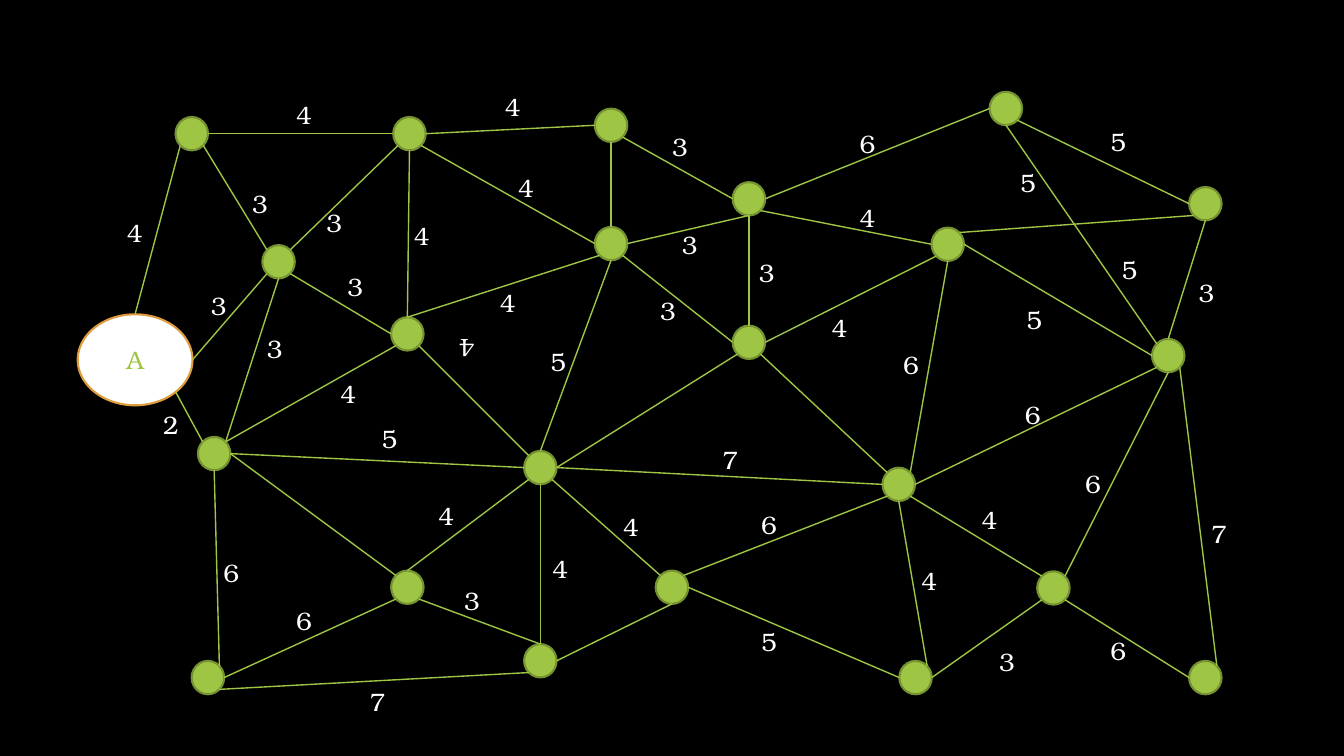
import math
from dataclasses import dataclass

from lxml import etree
from pptx import Presentation
from pptx import util as u
from pptx.dml.color import RGBColor
from pptx.enum import shapes, text
from pptx.oxml.ns import qn


@dataclass(frozen=True)
class Theme:
    background: str = "000000"
    green: str = "9EC544"
    dark_green: str = "759232"
    white: str = "FFFFFF"
    orange: str = "DE9C3C"
    font: str = "TeX Gyre Bonum"
    size: float = 18
    outline: float = 1.5
    edge: float = 1


# Connection sites of an ellipse, counterclockwise from the top
SITES = ["n", "nw", "w", "sw", "s", "se", "e", "ne"]
START_SIZE = (82, 65)
NODE_SIZE = (23.2, 23.8)
WEIGHT_SIZE = (25.2, 28.8)

START = (96.5, 257)
# Centre of each node
NODES = {
    "B": (137, 95.5), "C": (292.5, 95.5), "D": (436.5, 89.5), "E": (718.5, 77.5),
    "F": (535, 142), "G": (861, 145.5), "H": (199, 187), "I": (436.5, 174),
    "J": (677, 174.5), "K": (291, 238.5), "L": (535, 244.5), "M": (834.5, 254),
    "N": (153, 324), "O": (386, 334), "P": (642, 346), "Q": (291, 419.5),
    "R": (480, 419.5), "S": (752.5, 420), "T": (148.5, 484), "U": (386, 472),
    "V": (654, 484), "W": (861, 484),
}

# Node and site at both ends, then the weight and the left and top of its label
EDGES = [
    ("A e H sw", 3, 143.5, 204), ("H se K w", 3, 241, 190),
    ("A se N nw", 2, 109.5, 288.5), ("A n B sw", 4, 83.5, 152),
    ("B e C w", 4, 204.5, 67.5), ("C e D w", 4, 353.5, 62),
    ("C se I w", 4, 363, 119.5), ("I se L w", 3, 464.5, 207.5),
    ("D se F w", 3, 473, 90), ("F e E w", 6, 607, 88),
    ("F se J w", 4, 607, 141), ("E se G w", 5, 786, 87),
    ("E s M nw", 5, 721.5, 116), ("J e M w", 5, 726, 214),
    ("G s M n", 3, 849, 194.5), ("J ne G sw", 5, 794, 178),
    ("N s T ne", 6, 152.5, 394.5), ("T e Q sw", 6, 204.5, 429),
    ("T se U sw", 7, 257, 486.5), ("Q n O sw", 4, 306, 354),
    ("Q nw N e",), ("K se O nw", 4, 321, 235.5, 180),
    ("N e O w", 5, 265.5, 299), ("K n I sw", 4, 350, 201.5),
    ("O e L sw",), ("O se R nw", 4, 438, 362),
    ("Q se U n", 3, 324.5, 414.5), ("U e R s",),
    ("U n O s", 4, 387.5, 391.5), ("R e V w", 5, 536.5, 443.5),
    ("O e P w", 7, 509, 314), ("P nw L se",),
    ("I e F s", 3, 480, 160.5), ("L e J sw", 4, 587, 219.5),
    ("P e M sw", 6, 725, 281.5), ("P se S nw", 4, 694, 356.5),
    ("S se W w", 6, 786, 450.5), ("V ne P s", 4, 651, 400.5),
    ("R ne P sw", 6, 536.5, 360.5), ("V e S sw", 3, 706.5, 458),
    ("S ne M s", 6, 768, 331), ("W ne M se", 7, 858, 367),
    ("B se H nw", 3, 173, 131), ("C sw H ne", 3, 226, 144.5),
    ("K n C s", 4, 288.5, 153.5), ("I n D s",),
    ("O n I s", 5, 386, 244), ("N ne H s", 3, 183.5, 234.5),
    ("K sw N ne", 4, 236, 267), ("L n F s", 3, 535, 180),
    ("P ne J s", 6, 638, 246),
]


def write(frame, words, *, font, size, color, align=None, anchor=None):
    frame.word_wrap = True
    frame.vertical_anchor = anchor
    paragraph = frame.paragraphs[0]
    paragraph.alignment = align
    run = paragraph.add_run()
    run.text = words
    run.font.name = font
    run.font.size = u.Pt(size)
    run.font.color.rgb = RGBColor.from_string(color)


def site_point(node, site):
    """Return the place on the node's outline that a site stands for."""
    angle = math.radians(45 * SITES.index(site))
    x = node.left + node.width / 2 * (1 - math.sin(angle))
    y = node.top + node.height / 2 * (1 - math.cos(angle))
    return round(x), round(y)


class GraphSlide:
    def __init__(self, slide, theme):
        self.slide = slide
        self.theme = theme
        fill = slide.background.fill
        fill.solid()
        fill.fore_color.rgb = RGBColor.from_string(theme.background)

    def node(self, center, size, fill, outline):
        (x, y), (width, height) = center, size
        node = self.slide.shapes.add_shape(
            shapes.MSO_SHAPE.OVAL, u.Pt(x - width / 2), u.Pt(y - height / 2),
            u.Pt(width), u.Pt(height))
        node.shadow.inherit = False
        node.fill.solid()
        node.fill.fore_color.rgb = RGBColor.from_string(fill)
        node.line.color.rgb = RGBColor.from_string(outline)
        node.line.width = u.Pt(self.theme.outline)
        return node

    def edge(self, start, start_site, end, end_site):
        """Draw a line glued to both nodes; begin_connect knows only four sites."""
        edge = self.slide.shapes.add_connector(
            shapes.MSO_CONNECTOR.STRAIGHT,
            *site_point(start, start_site), *site_point(end, end_site))
        edge.line.color.rgb = RGBColor.from_string(self.theme.green)
        edge.line.width = u.Pt(self.theme.edge)
        etree.SubElement(edge._element.spPr, qn("a:effectLst"))
        joints = edge._element.nvCxnSpPr.cNvCxnSpPr
        for tag, node, site in (("a:stCxn", start, start_site), ("a:endCxn", end, end_site)):
            etree.SubElement(joints, qn(tag), id=str(node.shape_id), idx=str(SITES.index(site)))

    def weight(self, value, left, top, rotation=0):
        label = self.slide.shapes.add_textbox(
            u.Pt(left), u.Pt(top), *map(u.Pt, WEIGHT_SIZE))
        label.rotation = rotation
        write(label.text_frame, str(value), font=self.theme.font,
              size=self.theme.size, color=self.theme.white)
        label.text_frame.auto_size = text.MSO_AUTO_SIZE.SHAPE_TO_FIT_TEXT


def main():
    deck = Presentation()
    deck.slide_width, deck.slide_height = u.Pt(960), u.Pt(540)
    theme = Theme()
    graph = GraphSlide(deck.slides.add_slide(deck.slide_layouts[6]), theme)

    start = graph.node(START, START_SIZE, theme.white, theme.orange)
    write(start.text_frame, "A", font=theme.font, size=theme.size, color=theme.green,
          align=text.PP_ALIGN.CENTER, anchor=text.MSO_ANCHOR.MIDDLE)
    nodes = {"A": start}
    for name, center in NODES.items():
        nodes[name] = graph.node(center, NODE_SIZE, theme.green, theme.dark_green)

    for ends, *_ in EDGES:
        origin, origin_site, target, target_site = ends.split()
        graph.edge(nodes[origin], origin_site, nodes[target], target_site)
    for _, *weight in EDGES:
        if weight:
            graph.weight(*weight)

    deck.save("out.pptx")


if __name__ == "__main__":
    main()
